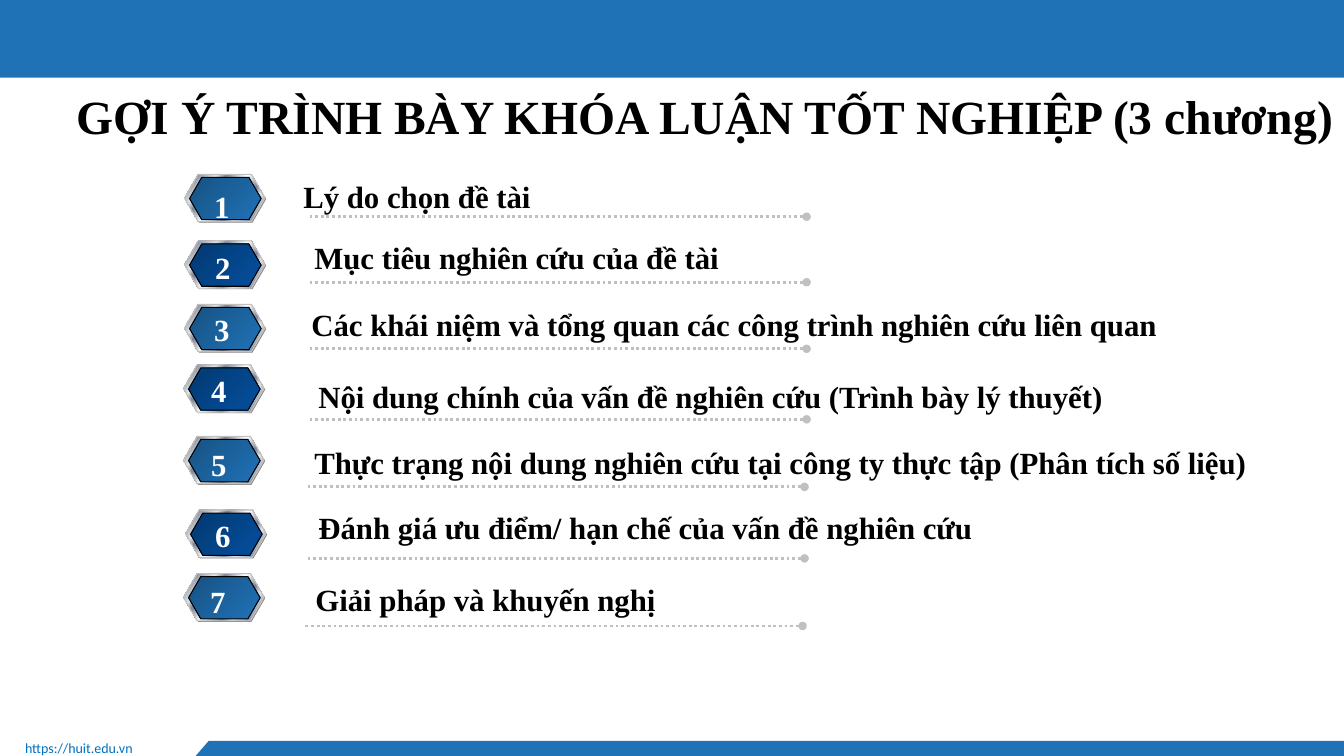
from lxml import etree
from pptx import Presentation
from pptx.dml.color import RGBColor
from pptx.enum.dml import MSO_LINE
from pptx.enum.shapes import MSO_CONNECTOR, MSO_SHAPE
from pptx.enum.text import MSO_ANCHOR, MSO_AUTO_SIZE, PP_ALIGN
from pptx.oxml.ns import qn
from pptx.util import Inches, Pt

HEXAGON, RECTANGLE = MSO_SHAPE.HEXAGON, MSO_SHAPE.RECTANGLE
STRAIGHT, DOTTED = MSO_CONNECTOR.STRAIGHT, MSO_LINE.ROUND_DOT
LEFT, CENTER = PP_ALIGN.LEFT, PP_ALIGN.CENTER
TOP, BOTTOM = MSO_ANCHOR.TOP, MSO_ANCHOR.BOTTOM
NO_FIT = MSO_AUTO_SIZE.NONE

BLUE, BLACK, WHITE, SILVER, GREY = "2072B7", "000000", "FFFFFF", "C0C0C0", "808080"
METAL = [(0, "E6E6E6"), (8, "7D8496"), (26, "E6E6E6"), (34, "7D8496"),
         (46, "E6E6E6"), (50, "FFFFFF"), (54, "E6E6E6"), (66, "7D8496"),
         (74, "E6E6E6"), (92, "7D8496"), (100, "E6E6E6")]
BADGE_FILLS = [[(0, "175283"), (100, BLUE)], [(0, "033971"), (100, "044F9E")]]

# label, label left/top/width, badge left/top, number left/top, rule left/top
ITEMS = [
    ("Lý do chọn đề tài", (2.91, 1.71, 3.89), (1.83, 1.73), (1.92, 1.81), (3.07, 2.15)),
    ("Mục tiêu nghiên cứu của đề tài",
     (3.02, 2.32, 4.26), (1.83, 2.39), (1.93, 2.42), (3.07, 2.8)),
    ("Các khái niệm và tổng quan các công trình nghiên cứu liên quan",
     (2.99, 2.98, 9.97), (1.83, 3.02), (1.92, 3.03), (3.07, 3.46)),
    ("Nội dung chính của vấn đề nghiên cứu (Trình bày lý thuyết)",
     (3.06, 3.7, 9.66), (1.82, 3.62), (1.89, 3.64), (3.07, 4.16)),
    ("Thực trạng nội dung nghiên cứu tại công ty thực tập (Phân tích số liệu)",
     (3.02, 4.35, 9.66), (1.82, 4.33), (1.89, 4.37), (3.05, 4.83)),
    ("Đánh giá ưu điểm/ hạn chế của vấn đề nghiên cứu",
     (3.06, 5, 7.51), (1.84, 5.06), (1.93, 5.08), (3.05, 5.54)),
    ("Giải pháp và khuyến nghị", (3.03, 5.71, 5.66), (1.82, 5.69), (1.88, 5.73), (3.03, 6.21)),
]
RULE_LENGTH = 4.93
TEXT_HEIGHT = 0.47


def color(value):
    return RGBColor.from_string(value)


def write(holder, text, size=22, font="Times New Roman", ink=BLACK, bold=True,
          align=LEFT, anchor=TOP, inset=None):
    frame = holder.text_frame
    frame.word_wrap = True
    frame.auto_size = NO_FIT
    frame.vertical_anchor = anchor
    if inset is not None:
        frame.margin_left = frame.margin_right = Inches(inset)
        frame.margin_top = frame.margin_bottom = Inches(inset)
    paragraph = frame.paragraphs[0]
    paragraph.alignment = align
    run = paragraph.add_run()
    run.text = text
    run.font.name = font
    run.font.size = Pt(size)
    run.font.bold = bold
    run.font.color.rgb = color(ink)


def add_text(slide, box, text, **style):
    write(slide.shapes.add_textbox(*map(Inches, box)), text, **style)


def fill_gradient(shape, stops):
    shape.fill.gradient()
    shape.fill.gradient_angle = 315
    stop_list = shape.element.spPr.find(qn("a:gradFill")).find(qn("a:gsLst"))
    for stop in list(stop_list):
        stop_list.remove(stop)
    for percent, value in stops:
        stop = etree.SubElement(stop_list, qn("a:gs"), pos=str(percent * 1000))
        etree.SubElement(stop, qn("a:srgbClr"), val=value)


def paint(shape, fill, line=None):
    shape.shadow.inherit = False
    if isinstance(fill, list):
        fill_gradient(shape, fill)
    else:
        shape.fill.solid()
        shape.fill.fore_color.rgb = color(fill)
    if line:
        shape.line.color.rgb = color(line)
        shape.line.width = Pt(0.75)
    else:
        shape.line.fill.background()


def add_hexagon(slide, box, fill, line=None):
    hexagon = slide.shapes.add_shape(HEXAGON, *map(Inches, box))
    hexagon.adjustments[0] = 0.289
    paint(hexagon, fill, line)


def add_badge(slide, left, top, fill):
    add_hexagon(slide, (left + 0.01, top + 0.01, 0.8, 0.47), GREY)
    add_hexagon(slide, (left, top, 0.8, 0.47), METAL, SILVER)
    add_hexagon(slide, (left + 0.05, top + 0.03, 0.71, 0.42), fill, BLACK)


def add_rule(slide, left, top):
    rule = slide.shapes.add_connector(
        STRAIGHT, Inches(left), Inches(top), Inches(left + RULE_LENGTH), Inches(top))
    rule.line.color.rgb = color(SILVER)
    rule.line.width = Pt(2)
    rule.line.dash_style = DOTTED
    etree.SubElement(rule.line._get_or_add_ln(), qn("a:tailEnd"), type="oval")
    etree.SubElement(rule.element.spPr, qn("a:effectLst"))


def add_bands(slide):
    header = slide.shapes.add_shape(
        RECTANGLE, Inches(0), Inches(-0.01), Inches(13.33), Inches(0.78))
    paint(header, BLUE)
    outline = slide.shapes.build_freeform(Inches(2.07), Inches(7.35))
    corners = [(13.33, 7.35), (13.33, 7.5), (1.94, 7.5)]
    outline.add_line_segments([(Inches(x), Inches(y)) for x, y in corners], close=True)
    paint(outline.convert_to_shape(), BLUE)


def add_title(slide, text):
    title = slide.shapes.title
    title.left, title.top, title.width, title.height = map(Inches, (0.25, 0.65, 13.49, 0.85))
    write(title, text, size=34, align=CENTER, anchor=BOTTOM, inset=0.07)


def main():
    deck = Presentation()
    deck.slide_width, deck.slide_height = Inches(13.33), Inches(7.5)
    slide = deck.slides.add_slide(deck.slide_layouts[5])
    add_bands(slide)
    add_text(slide, (0.15, 7.29, 1.78, 0.28), "https://huit.edu.vn",
             size=10, font="Calibri", ink="0070C0", bold=False)
    add_title(slide, "GỢI Ý TRÌNH BÀY KHÓA LUẬN TỐT NGHIỆP (3 chương)")
    for index, (label, label_box, badge, number, rule) in enumerate(ITEMS):
        add_badge(slide, *badge, BADGE_FILLS[index % 2])
        add_rule(slide, *rule)
        add_text(slide, (*number, 0.56, TEXT_HEIGHT), str(index + 1), ink=WHITE, align=CENTER)
        add_text(slide, (*label_box, TEXT_HEIGHT), label)
    deck.save("out.pptx")


if __name__ == "__main__":
    main()
